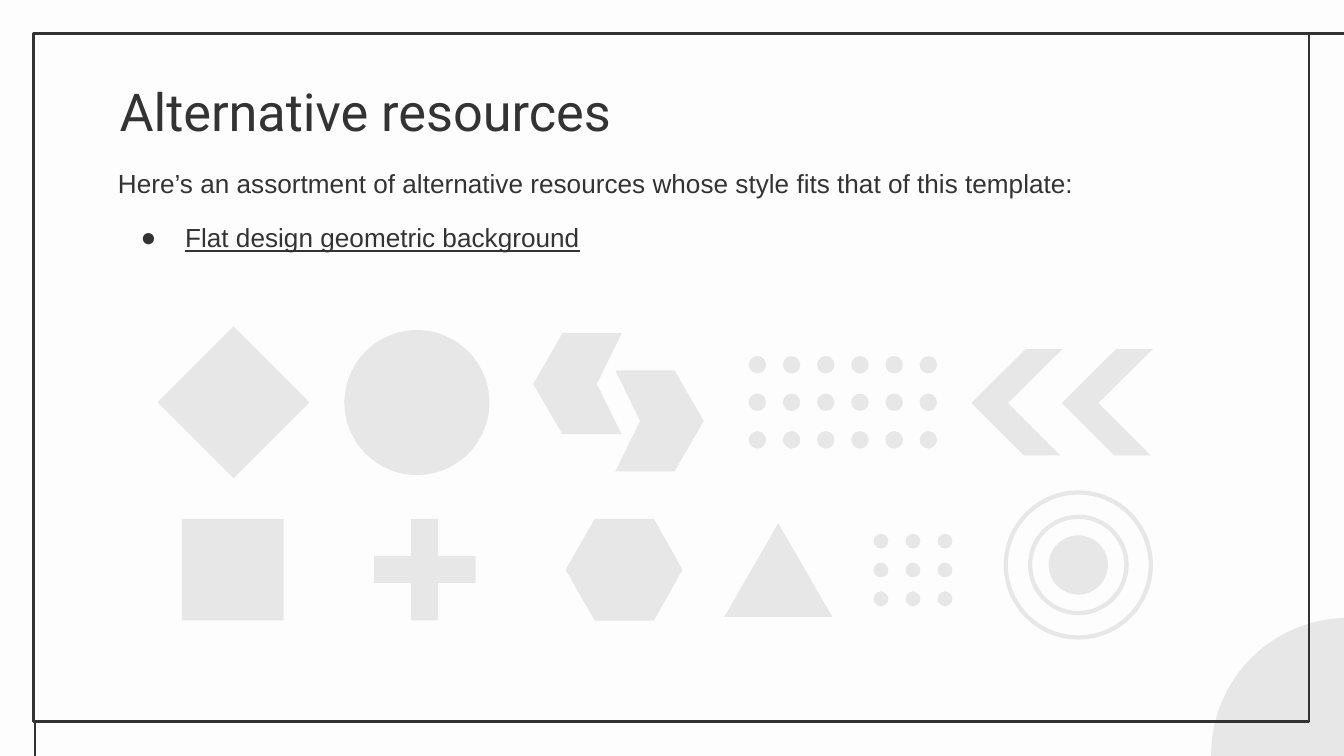
"""Build the "Alternative resources" slide with its frame and geometric shapes."""
from lxml import etree
from pptx import Presentation
from pptx import util as u
from pptx.dml.color import RGBColor
from pptx.enum import shapes, text
from pptx.oxml.ns import qn

INK = RGBColor(0x33, 0x33, 0x33)
GREY = RGBColor(0xE8, 0xE7, 0xE7)
PAPER = RGBColor(0xFD, 0xFD, 0xFD)
PRESET = shapes.MSO_SHAPE

SHAPES = [
    (PRESET.DIAMOND, 2.98, 6.17, 2.87, 2.87),
    (PRESET.OVAL, 6.51, 6.24, 2.74, 2.74),
    (PRESET.RECTANGLE, 3.44, 9.81, 1.92, 1.92),
    (PRESET.RECTANGLE, 7.77, 9.81, 0.51, 1.92),
    (PRESET.RECTANGLE, 7.07, 10.51, 1.92, 0.51),
    (PRESET.ISOSCELES_TRIANGLE, 13.69, 9.89, 2.04, 1.77),
]
NOTCHED_WIDTH = 1.67
NOTCHED = [(0.55, 0), (0, 0.96), (0.55, 1.91), (1.67, 1.91), (1.2, 0.96), (1.67, 0)]
NOTCHED_RIGHT = [(NOTCHED_WIDTH - x, y) for x, y in NOTCHED]
ARROW = [(1.02, 0), (0, 1.02), (0.99, 2.01), (1.68, 2.01), (0.69, 1.02), (1.72, 0)]
HEXAGON = [(0.55, 0), (0, 0.96), (0.55, 1.92), (1.67, 1.92), (2.21, 0.96), (1.67, 0)]
TARGET_CENTRE = (20.38, 10.68)


def paint(shape):
    shape.shadow.inherit = False
    shape.fill.solid()
    shape.fill.fore_color.rgb = GREY
    shape.line.fill.background()


def add_preset(slide, kind, left, top, width, height):
    shape = slide.shapes.add_shape(kind, u.Cm(left), u.Cm(top), u.Cm(width), u.Cm(height))
    paint(shape)
    return shape


def add_polygon(slide, left, top, points):
    corners = [(u.Cm(left + x), u.Cm(top + y)) for x, y in points]
    builder = slide.shapes.build_freeform(*corners[0])
    builder.add_line_segments(corners[1:], close=True)
    paint(builder.convert_to_shape())


def add_dots(slide, left, top, columns, rows, width, height, size):
    """Spread a grid of dots whose first and last are width and height apart."""
    for row in range(rows):
        for column in range(columns):
            x = left + width * column / (columns - 1)
            y = top + height * row / (rows - 1)
            add_preset(slide, PRESET.OVAL, x, y, size, size)


def add_target(slide):
    x, y = TARGET_CENTRE
    for kind, size in ((PRESET.OVAL, 1.12), (PRESET.DONUT, 1.9), (PRESET.DONUT, 2.82)):
        shape = add_preset(slide, kind, x - size / 2, y - size / 2, size, size)
        if kind == PRESET.DONUT:
            shape.adjustments[0] = 0.08 / size


def add_rule(slide, x1, y1, x2, y2):
    rule = slide.shapes.add_connector(
        shapes.MSO_CONNECTOR.STRAIGHT, u.Cm(x1), u.Cm(y1), u.Cm(x2), u.Cm(y2))
    rule.line.color.rgb = INK
    rule.line.width = u.Pt(1.5)
    etree.SubElement(rule.element.spPr, qn("a:effectLst"))


def add_frame(slide):
    frame = add_preset(slide, PRESET.RECTANGLE, 0.64, 0.64, 24.1, 13)
    frame.fill.background()
    frame.line.color.rgb = INK
    frame.line.width = u.Pt(1.5)
    add_rule(slide, 24.74, 0.64, 25.4, 0.64)
    add_rule(slide, 0.66, 13.64, 0.66, 14.29)


def add_text(slide, left, top, width, height, lines, font, size):
    box = slide.shapes.add_textbox(u.Cm(left), u.Cm(top), u.Cm(width), u.Cm(height))
    frame = box.text_frame
    frame.word_wrap = True
    frame.vertical_anchor = text.MSO_ANCHOR.TOP
    frame.margin_left = frame.margin_right = u.Cm(0.25)
    frame.margin_top = frame.margin_bottom = u.Cm(0.25)
    frame.text = "\n".join(lines)
    for paragraph in frame.paragraphs:
        run_font = paragraph.runs[0].font
        run_font.name = font
        run_font.size = u.Pt(size)
        run_font.color.rgb = INK
    return frame.paragraphs


def add_bullet(paragraph):
    properties = paragraph._p.get_or_add_pPr()
    properties.set("marL", str(u.Cm(1.27)))
    properties.set("indent", str(u.Cm(-0.84)))
    colour = etree.SubElement(properties, qn("a:buClr"))
    etree.SubElement(colour, qn("a:srgbClr"), val=str(INK))
    etree.SubElement(properties, qn("a:buFont"), typeface="Arial")
    etree.SubElement(properties, qn("a:buChar"), char="●")


def add_intro(slide):
    paragraphs = add_text(slide, 1.98, 2.82, 21.44, 2.46, [
        "Here’s an assortment of alternative resources whose style fits that of this template:",
        "Flat design geometric background",
    ], "Arial", 14)
    for paragraph in paragraphs:
        paragraph.line_spacing = 1.15
    resource = paragraphs[1]
    resource.space_before = u.Pt(10)
    resource.runs[0].font.underline = True
    add_bullet(resource)


def main():
    presentation = Presentation()
    presentation.slide_width = u.Cm(25.4)
    presentation.slide_height = u.Cm(14.29)
    slide = presentation.slides.add_slide(presentation.slide_layouts[6])
    slide.background.fill.solid()
    slide.background.fill.fore_color.rgb = PAPER

    add_preset(slide, PRESET.OVAL, 22.89, 11.68, 5.18, 5.18)
    add_frame(slide)
    add_text(slide, 2.01, 1.24, 21.41, 1.6, ["Alternative resources"], "Roboto", 28)
    add_intro(slide)

    add_dots(slide, 14.15, 6.73, 6, 3, 3.23, 1.42, 0.33)
    add_dots(slide, 16.51, 10.09, 3, 3, 1.21, 1.09, 0.28)
    for shape in SHAPES:
        add_preset(slide, *shape)
    add_polygon(slide, 11.63, 7, NOTCHED_RIGHT)
    add_polygon(slide, 10.08, 6.3, NOTCHED)
    add_polygon(slide, 10.69, 9.81, HEXAGON)
    for left in (18.36, 20.07):
        add_polygon(slide, left, 6.6, ARROW)
    add_target(slide)
    presentation.save("out.pptx")


if __name__ == "__main__":
    main()
